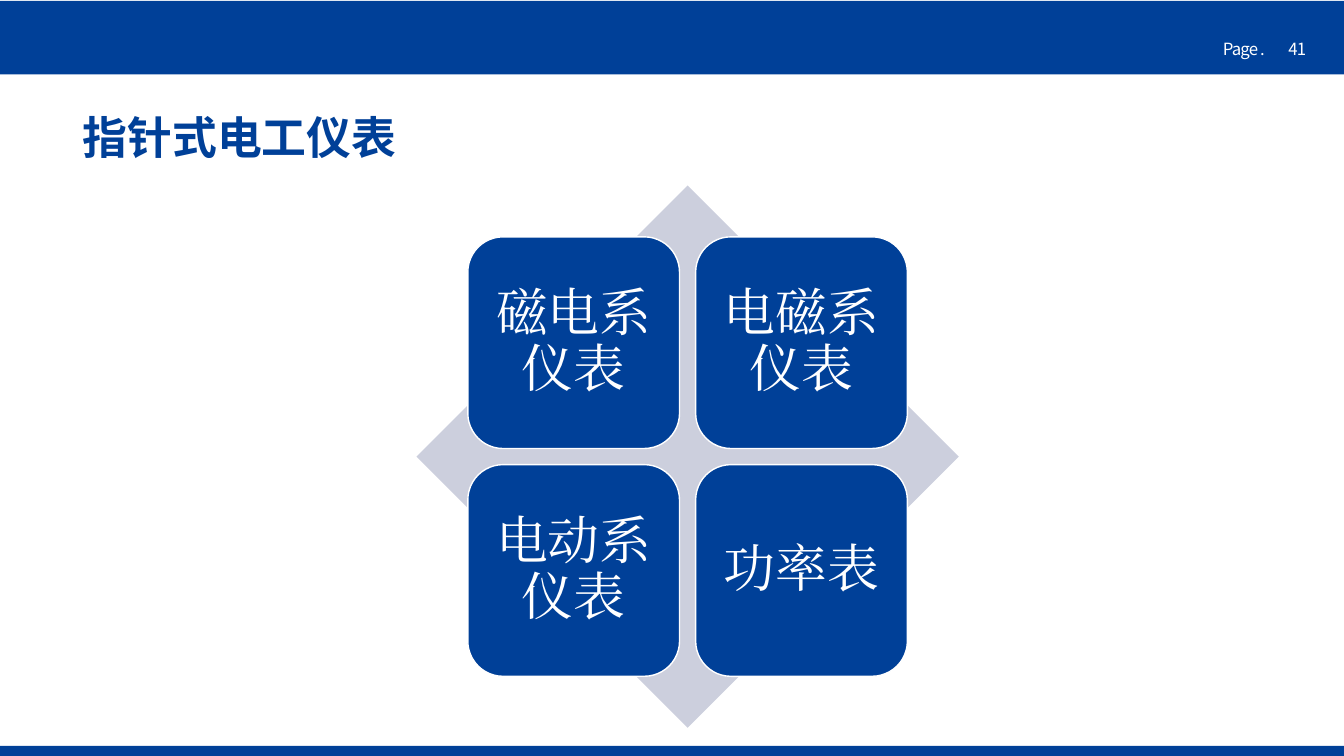
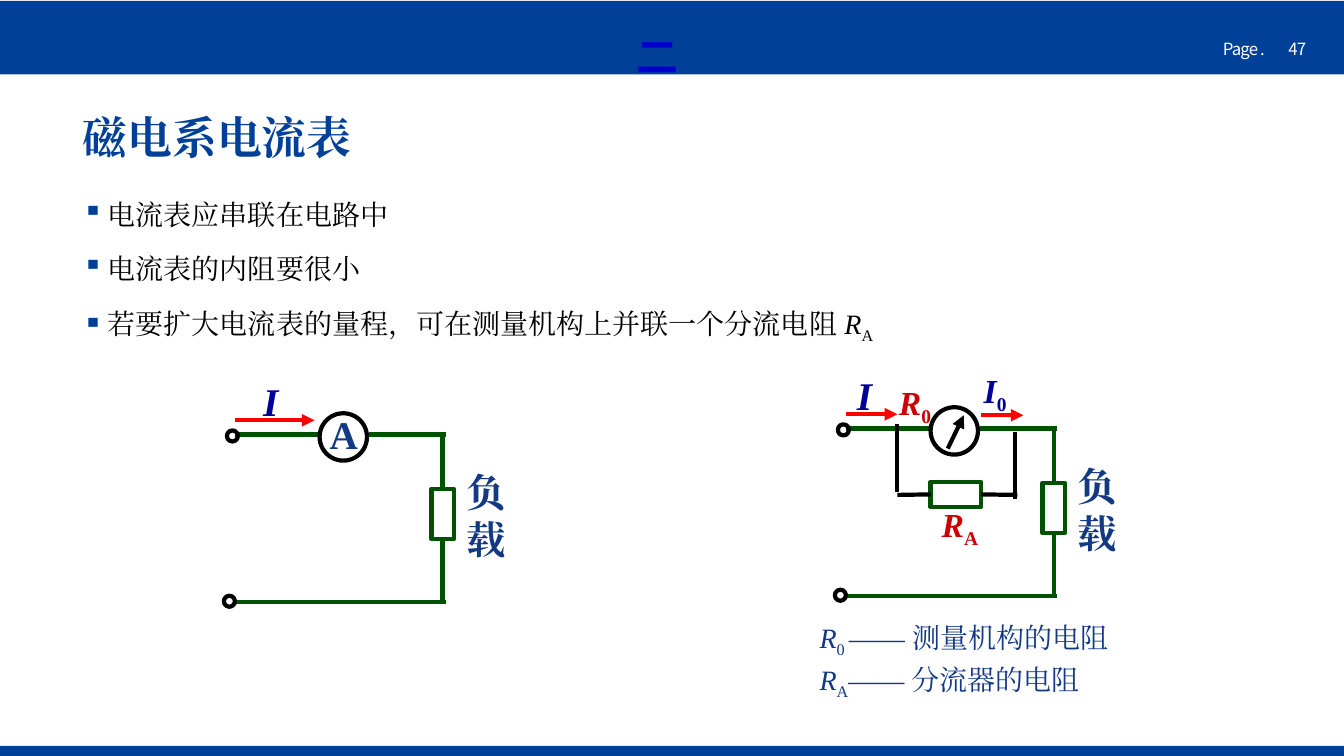
from lxml import etree
from pptx import Presentation
from pptx.dml.color import RGBColor
from pptx.enum.shapes import MSO_CONNECTOR, MSO_SHAPE
from pptx.enum.text import MSO_ANCHOR, MSO_AUTO_SIZE, PP_ALIGN
from pptx.oxml.ns import qn
from pptx.util import Inches, Pt

BLUE = RGBColor(0x00, 0x40, 0x98)
WHITE = RGBColor(0xFF, 0xFF, 0xFF)
BLACK = RGBColor(0x00, 0x00, 0x00)
PALE = RGBColor(0xCC, 0xCF, 0xDD)
GREEN = RGBColor(0x00, 0x52, 0x00)
RED = RGBColor(0xFF, 0x00, 0x00)
DARK_RED = RGBColor(0xCC, 0x00, 0x00)
NAVY = RGBColor(0x13, 0x39, 0x84)
INDIGO = RGBColor(0x00, 0x00, 0x99)
BRIGHT_BLUE = RGBColor(0x00, 0x00, 0xCC)
SANS = "Noto Sans CJK SC"
SERIF = "Times New Roman"
ITALIC = {"italic": True}
SUBSCRIPT = {"baseline": -25}


def format_run(run, size, color, font=SERIF, bold=False, italic=False, baseline=0, spacing=0):
    run.font.size = Pt(size)
    run.font.color.rgb = color
    run.font.bold = bold
    run.font.italic = italic
    run.font.name = font
    properties = run.font._element
    etree.SubElement(properties, qn("a:ea")).set("typeface", font)
    if baseline:
        properties.set("baseline", str(baseline * 1000))
    if spacing:
        properties.set("spc", str(round(spacing * 100)))


def add_bullet(paragraph):
    properties = paragraph._p.get_or_add_pPr()
    properties.set("marL", str(Inches(0.25)))
    properties.set("indent", str(-Inches(0.25)))
    bullet_color = etree.SubElement(properties, qn("a:buClr"))
    etree.SubElement(bullet_color, qn("a:srgbClr")).set("val", str(BLUE))
    etree.SubElement(properties, qn("a:buChar")).set("char", "▪")


def write_text(frame, paragraphs, align=PP_ALIGN.LEFT, anchor=MSO_ANCHOR.TOP, wrap=True,
               line_spacing=1.0, space_before=0, bullet=False, **run_format):
    frame.word_wrap = wrap
    frame.auto_size = MSO_AUTO_SIZE.NONE
    frame.vertical_anchor = anchor
    for index, runs in enumerate(paragraphs):
        paragraph = frame.add_paragraph() if index else frame.paragraphs[0]
        if bullet:
            add_bullet(paragraph)
        paragraph.alignment = align
        paragraph.line_spacing = line_spacing
        if index and space_before:
            paragraph.space_before = Pt(space_before)
        for text, changes in [(runs, {})] if isinstance(runs, str) else runs:
            run = paragraph.add_run()
            run.text = text
            format_run(run, **{**run_format, **changes})


def add_text(slide, left, top, width, height, paragraphs, **text_format):
    box = slide.shapes.add_textbox(Inches(left), Inches(top), Inches(width), Inches(height))
    write_text(box.text_frame, paragraphs, **text_format)


def add_box(slide, kind, left, top, width, height, fill=None, line=None, weight=3):
    shape = slide.shapes.add_shape(kind, Inches(left), Inches(top), Inches(width), Inches(height))
    shape.shadow.inherit = False
    if fill is None:
        shape.fill.background()
    else:
        shape.fill.solid()
        shape.fill.fore_color.rgb = fill
    if line is None:
        shape.line.fill.background()
    else:
        shape.line.color.rgb = line
        shape.line.width = Pt(weight)
    return shape


def add_line(slide, start, end, color, arrow=False):
    connector = slide.shapes.add_connector(
        MSO_CONNECTOR.STRAIGHT, *(Inches(value) for value in (*start, *end)))
    connector.line.color.rgb = color
    connector.line.width = Pt(3)
    if arrow:
        outline = connector.line._get_or_add_ln()
        etree.SubElement(outline, qn("a:tailEnd")).set("type", "triangle")
    etree.SubElement(connector._element.spPr, qn("a:effectLst"))
    return connector


def add_slide(presentation, title, page, title_font):
    slide = presentation.slides.add_slide(presentation.slide_layouts[5])
    for top, height in ((7.4, 0.1), (0.01, 0.73)):
        add_box(slide, MSO_SHAPE.RECTANGLE, 0, top, 13.33, height, fill=BLUE)
    for left, width, text in ((12.68, 0.4, page), (12.03, 0.63, "Page .")):
        add_text(slide, left, 0.34, width, 0.3, [text], wrap=False,
                 size=12, color=WHITE, font=SANS, spacing=-0.6)
    heading = slide.shapes.title
    heading.left, heading.top = Inches(0.72), Inches(1.07)
    heading.width, heading.height = Inches(12.21), Inches(0.63)
    write_text(heading.text_frame, [title], anchor=MSO_ANCHOR.MIDDLE, line_spacing=0.9,
               size=32, color=BLUE, font=title_font, bold=True)
    return slide


def add_matrix(slide, left, top, side, labels):
    add_box(slide, MSO_SHAPE.DIAMOND, left, top, side, side, fill=PALE)
    tile, pitch = 2.1, 2.26
    margin = (side - tile - pitch) / 2
    for index, label in enumerate(labels):
        row, column = divmod(index, 2)
        shape = add_box(slide, MSO_SHAPE.ROUNDED_RECTANGLE, left + margin + column * pitch,
                        top + margin + row * pitch, tile, tile, fill=BLUE, line=WHITE, weight=1)
        frame = shape.text_frame
        frame.margin_left = frame.margin_right = Inches(0.15)
        frame.margin_top = frame.margin_bottom = Inches(0.15)
        write_text(frame, [label], align=PP_ALIGN.CENTER, anchor=MSO_ANCHOR.MIDDLE,
                   line_spacing=0.9, size=37, color=WHITE)


def add_circuit(slide, left, top, label_left, arrow_end):
    def at(x, y):
        return left + x, top + y

    add_text(slide, *at(label_left, -0.01), 0.35, 0.57, ["I"], align=PP_ALIGN.CENTER,
             anchor=MSO_ANCHOR.MIDDLE, wrap=False, size=28, color=INDIGO, bold=True, italic=True)
    add_line(slide, at(0.13, 0.47), at(arrow_end, 0.47), RED, arrow=True)
    add_text(slide, *at(2.33, 0.9), 0.55, 1.03, ["负载"], align=PP_ALIGN.CENTER,
             anchor=MSO_ANCHOR.MIDDLE, size=28, color=NAVY, bold=True)
    load = add_box(slide, MSO_SHAPE.RECTANGLE, *at(2.08, 1.15), 0.22, 0.5, line=GREEN)
    for start, end, y in ((0.13, 0.97, 0.61), (1.46, 2.22, 0.61), (0.13, 2.22, 2.27)):
        add_line(slide, at(start, y), at(end, y), GREEN)
    for wire_end, load_end, site in ((0.61, 1.15, 0), (2.29, 1.65, 2)):
        wire = add_line(slide, at(2.19, wire_end), at(2.19, load_end), GREEN)
        wire.end_connect(load, site)
    for x, y, diameter in ((0.97, 0.4, 0.47), (0.05, 0.57, 0.11), (0.02, 2.21, 0.11)):
        add_box(slide, MSO_SHAPE.OVAL, *at(x, y), diameter, diameter, line=BLACK)


def add_shunt(slide, left, top):
    def at(x, y):
        return left + x, top + y

    add_line(slide, at(1.14, 0.81), at(1.3, 0.48), BLACK, arrow=True)
    add_line(slide, at(1.47, 0.48), at(1.89, 0.48), RED, arrow=True)
    resistor = add_box(slide, MSO_SHAPE.RECTANGLE, *at(0.97, 1.14), 0.5, 0.25, line=GREEN)
    for x, start, end in ((0.64, 0.57, 1.24), (1.81, 0.65, 1.31)):
        add_line(slide, at(x, start), at(x, end), BLACK)
    for start, end, site in ((0.64, 0.97, 1), (1.83, 1.47, 3)):
        link = add_line(slide, at(start, 1.27), at(end, 1.27), BLACK)
        link.end_connect(resistor, site)
    for x, y, width, symbol, index, color in (
            (0.97, 1.31, 0.58, "R", "A", DARK_RED),
            (0.55, 0.1, 0.53, "R", "0", DARK_RED),
            (1.39, -0.02, 0.44, "I", "0", INDIGO)):
        add_text(slide, *at(x, y), width, 0.5, [[(symbol, ITALIC), (index, SUBSCRIPT)]],
                 align=PP_ALIGN.CENTER, wrap=False, size=24, color=color, bold=True)


def add_legend(slide, left, top, width, height):
    add_text(slide, left, top, width, height, [
        [("R", ITALIC), ("0 ", SUBSCRIPT), ("—— 测量机构的电阻", {})],
        [("R", ITALIC), ("A", SUBSCRIPT), ("—— 分流器的电阻", {})],
    ], anchor=MSO_ANCHOR.MIDDLE, line_spacing=1.1, size=20, color=NAVY)


def build_instruments(presentation):
    slide = add_slide(presentation, "指针式电工仪表", "41", SANS)
    add_matrix(slide, 4.13, 1.84, 5.38, ["磁电系仪表", "电磁系仪表", "电动系仪表", "功率表"])


def build_ammeter(presentation):
    slide = add_slide(presentation, "磁电系电流表", "47", SERIF)
    add_text(slide, 0.72, 1.84, 12.21, 1.7, [
        "电流表应串联在电路中",
        "电流表的内阻要很小",
        [("若要扩大电流表的量程，可在测量机构上并联一个分流电阻 ", {}), ("R", ITALIC), ("A", SUBSCRIPT)],
    ], line_spacing=1.2, space_before=10, bullet=True, size=20, color=BLACK)
    add_text(slide, 3.33, 0.25, 6.39, 0.68, ["二"], align=PP_ALIGN.CENTER,
             size=30, color=BRIGHT_BLUE, font=SANS, bold=True)
    add_circuit(slide, 2.2, 3.7, label_left=0.31, arrow_end=0.92)
    add_text(slide, 3.08, 4.02, 0.66, 0.57, ["A"], align=PP_ALIGN.CENTER,
             size=28, color=NAVY, bold=True)
    add_circuit(slide, 8.26, 3.64, label_left=0.14, arrow_end=0.64)
    add_shunt(slide, 8.26, 3.64)
    add_legend(slide, 8.03, 5.99, 4, 1.08)


def main():
    presentation = Presentation()
    presentation.slide_width = Inches(13.33)
    presentation.slide_height = Inches(7.5)
    build_instruments(presentation)
    build_ammeter(presentation)
    presentation.save("out.pptx")


if __name__ == "__main__":
    main()
